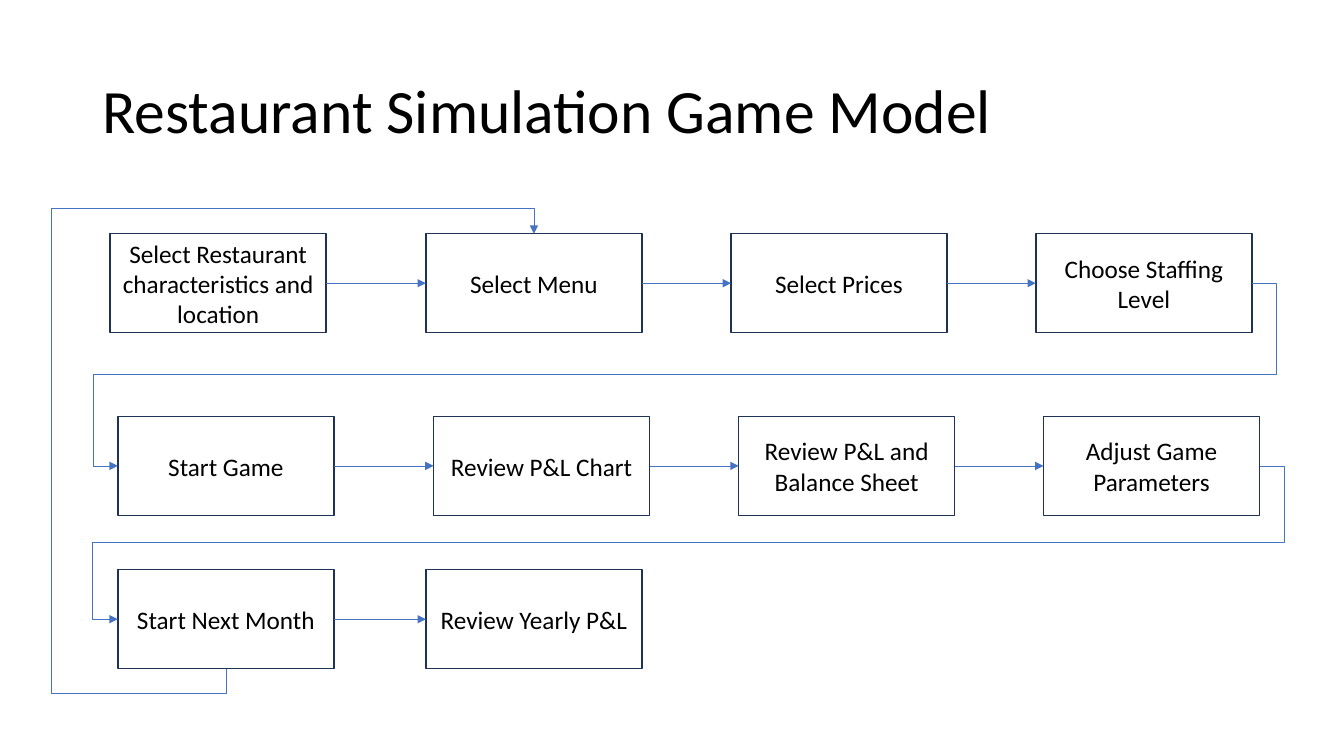
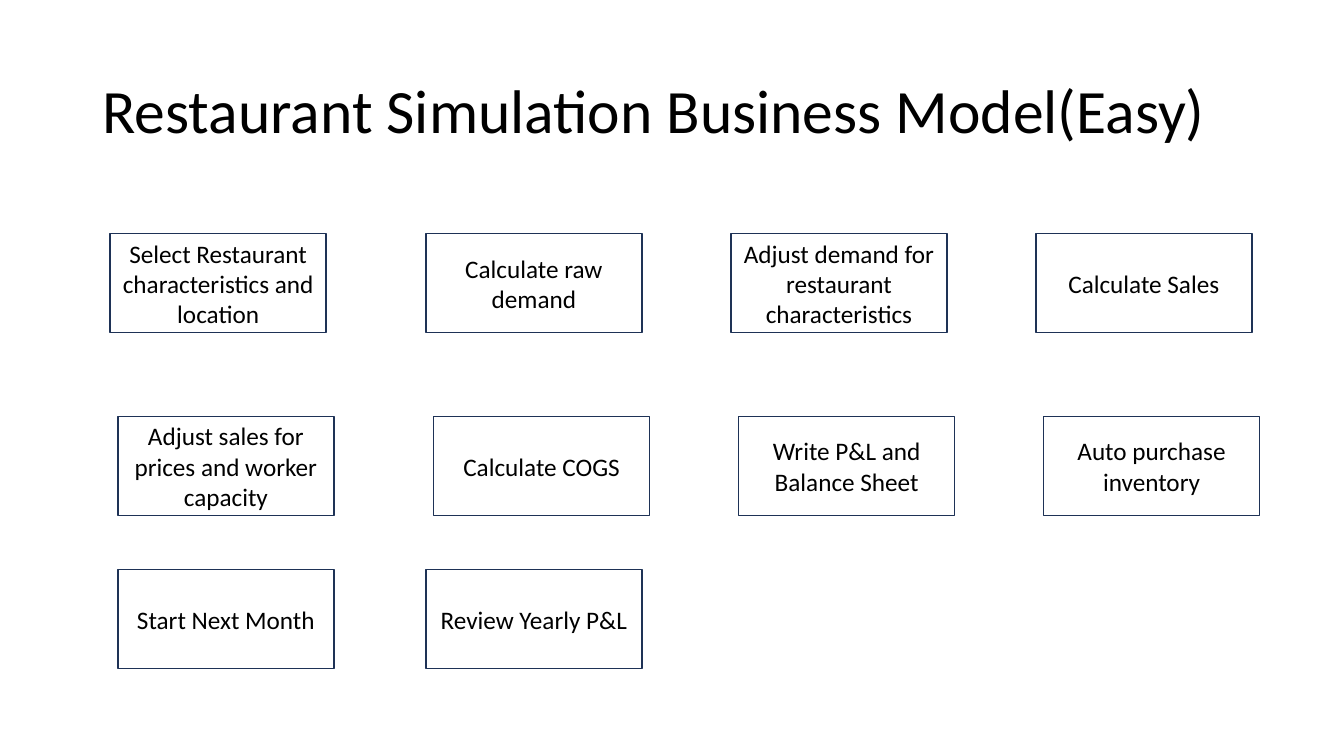
from collections import namedtuple
from lxml.etree import SubElement
from pptx import Presentation
from pptx.dml.color import RGBColor
from pptx.enum.dml import MSO_THEME_COLOR
from pptx.enum.shapes import MSO_CONNECTOR as Link, MSO_SHAPE as Shape
from pptx.enum.text import MSO_ANCHOR as Anchor, MSO_AUTO_SIZE as AutoSize, PP_ALIGN as Align
from pptx.oxml.ns import qn
from pptx.util import Pt

Area = namedtuple("Area", "left top width height")

PAGE = Area(0, 0, 960, 540)
TITLE = Area(66, 28.8, 828, 104.4)
FLOW = Area(78.7, 167, 820.5, 310.5)
BOX_WIDTH, BOX_HEIGHT = 154.3, 70.6
COLUMNS = (0, 225.5, 443.4, 661.2)
SHIFT = 5.5
ROW_TOPS = (0, 130.5, 240)
ROW_SHIFTS = ((0, 0, 0, 0), (SHIFT,) * 4, (SHIFT, 0))
STUB = 18
RETURN_LANE = -42
TOP, LEFT, BOTTOM, RIGHT = range(4)

FONT = "Calibri"
TEXT, OUTLINE, ARROW = "000000", "1E3256", "4472C4"

GAME_STEPS = (
    ("Select Restaurant characteristics and location", "Select Menu",
     "Select Prices", "Choose Staffing Level"),
    ("Start Game", "Review P&L Chart", "Review P&L and Balance Sheet",
     "Adjust Game Parameters"),
    ("Start Next Month", "Review Yearly P&L"),
)
BUSINESS_STEPS = (
    ("Select Restaurant characteristics and location", "Calculate raw demand",
     "Adjust demand for restaurant characteristics", "Calculate Sales"),
    ("Adjust sales for prices and worker capacity", "Calculate COGS",
     "Write P&L and Balance Sheet", "Auto purchase inventory"),
    ("Start Next Month", "Review Yearly P&L"),
)


def paint(color_format, color):
    color_format.rgb = RGBColor.from_string(color)


def write(frame, text, size=18, color=TEXT, align=Align.CENTER, spacing=1.0):
    frame.word_wrap = True
    frame.auto_size = AutoSize.NONE
    frame.vertical_anchor = Anchor.MIDDLE
    para = frame.paragraphs[0]
    para.alignment = align
    para.line_spacing = spacing
    span = para.add_run()
    span.text = text
    span.font.name = FONT
    span.font.size = Pt(size)
    paint(span.font.color, color)


def add_page(deck, title):
    page = deck.slides.add_slide(deck.slide_layouts[5])
    write(page.shapes.title.text_frame, title, size=44, align=Align.LEFT, spacing=0.9)
    return page


def add_box(page, text, left, top):
    box = page.shapes.add_shape(
        Shape.RECTANGLE, Pt(left), Pt(top), Pt(BOX_WIDTH), Pt(BOX_HEIGHT))
    box.shadow.inherit = False
    box.fill.background()
    paint(box.line.color, OUTLINE)
    box.line.width = Pt(1)
    write(box.text_frame, text)
    return box


def add_steps(page, area, steps):
    return [
        [add_box(page, text, area.left + column + shift, area.top + top)
         for text, column, shift in zip(texts, COLUMNS, shifts)]
        for texts, top, shifts in zip(steps, ROW_TOPS, ROW_SHIFTS)
    ]


def add_arrow(page, kind, source, start_site, target, end_site):
    arrow = page.shapes.add_connector(kind, 0, 0, 0, 0)
    arrow.begin_connect(source, start_site)
    arrow.end_connect(target, end_site)
    paint(arrow.line.color, ARROW)
    arrow.line.width = Pt(0.5)
    SubElement(arrow.line._get_or_add_ln(), qn("a:tailEnd"), type="triangle")
    SubElement(arrow._element.spPr, qn("a:effectLst"))
    return arrow


def bend(arrow, run, middle):
    stub = Pt(STUB) / run
    geometry = arrow._element.spPr.find(qn("a:prstGeom"))
    geometry.set("prst", "bentConnector5")
    guides = geometry.find(qn("a:avLst"))
    for number, share in enumerate((-stub, middle, 1 + stub), start=1):
        SubElement(guides, qn("a:gd"), name=f"adj{number}",
                   fmla=f"val {round(share * 100000)}")


def add_wrap_arrow(page, source, target):
    arrow = add_arrow(page, Link.ELBOW, source, RIGHT, target, LEFT)
    bend(arrow, arrow.width, 0.5)


def add_return_arrow(page, source, target, lane):
    arrow = add_arrow(page, Link.ELBOW, source, BOTTOM, target, TOP)
    across, rise = arrow.width, arrow.height
    bend(arrow, rise, (Pt(lane) - arrow.begin_x) / across)
    center_x, center_y = arrow.left + across // 2, arrow.top + rise // 2
    arrow.left, arrow.top = center_x - rise // 2, center_y - across // 2
    arrow.width, arrow.height = rise, across
    frame = arrow._element.spPr.find(qn("a:xfrm"))
    for name, value in (("rot", "5400000"), ("flipH", "1"), ("flipV", "1")):
        frame.set(name, value)


def add_flow(page, area, rows):
    for row in rows:
        for source, target in zip(row, row[1:]):
            add_arrow(page, Link.STRAIGHT, source, RIGHT, target, LEFT)
    for row, following in zip(rows, rows[1:]):
        add_wrap_arrow(page, row[-1], following[0])
    add_return_arrow(page, rows[-1][0], rows[0][1], area.left + RETURN_LANE)


def main():
    deck = Presentation()
    deck.slide_width, deck.slide_height = Pt(PAGE.width), Pt(PAGE.height)
    heading = deck.slide_layouts[5].placeholders[0]
    heading.left, heading.top, heading.width, heading.height = map(Pt, TITLE)

    game = add_page(deck, "Restaurant Simulation Game Model")
    add_flow(game, FLOW, add_steps(game, FLOW, GAME_STEPS))

    business = add_page(deck, "Restaurant Simulation Business Model(Easy)")
    add_steps(business, FLOW, BUSINESS_STEPS)

    deck.save("out.pptx")


if __name__ == "__main__":
    main()
